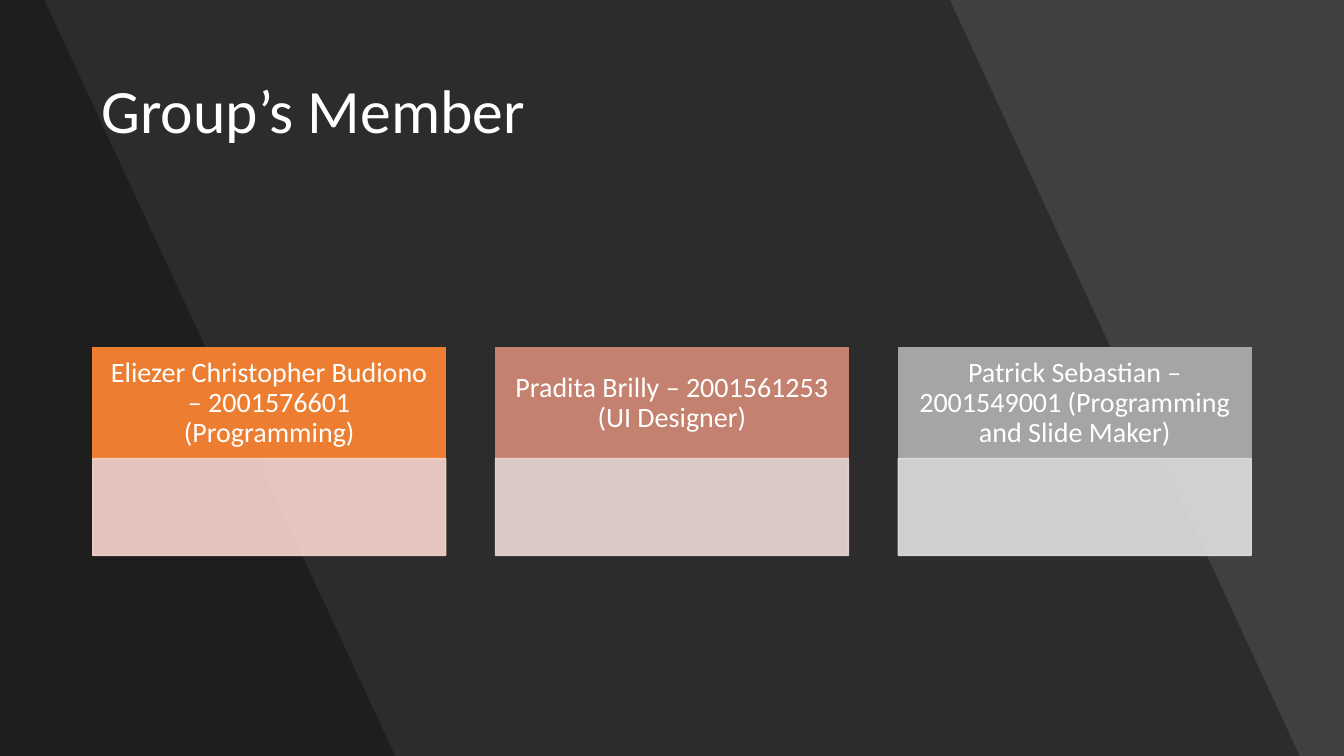
from lxml.etree import SubElement
from pptx import Presentation
from pptx.dml.color import RGBColor
from pptx.enum.shapes import MSO_SHAPE as Preset
from pptx.enum.text import MSO_ANCHOR as Anchor, PP_ALIGN as Align
from pptx.oxml.ns import qn
from pptx.util import Inches, Pt

WIDTH, HEIGHT = 13.33, 7.5
FONT = "Calibri"
COLORS = {
    "background": "404040",
    "shade": "000000",
    "text": "FFFFFF",
    "orange": "ED7D31",
    "orange_pale": "F8D7CE",
    "rose": "C48170",
    "rose_pale": "EDD9D7",
    "gray": "A5A5A5",
    "gray_pale": "E1E1E1",
}
MEMBERS = [
    ("Eliezer Christopher Budiono – 2001576601 (Programming)", "orange"),
    ("Pradita Brilly – 2001561253 (UI Designer)", "rose"),
    ("Patrick Sebastian – 2001549001 (Programming and Slide Maker)", "gray"),
]


def paint(fill, color, opacity=100):
    fill.solid()
    fill.fore_color.rgb = RGBColor.from_string(COLORS[color])
    if opacity < 100:
        for choice in fill._xPr.iter(qn("a:srgbClr")):
            SubElement(choice, qn("a:alpha"), val=str(opacity * 1000))


def write(shape, text, size, align, margins):
    frame = shape.text_frame
    frame.word_wrap = True
    frame.vertical_anchor = Anchor.MIDDLE
    frame.margin_left = frame.margin_right = Inches(margins[0])
    frame.margin_top = frame.margin_bottom = Inches(margins[1])
    para = frame.paragraphs[0]
    para.alignment = align
    para.line_spacing = 0.9
    span = para.add_run()
    span.text = text
    span.font.name = FONT
    span.font.size = Pt(size)
    span.font.color.rgb = RGBColor.from_string(COLORS["text"])


def add_panel(page, box, color, opacity=100):
    panel = page.shapes.add_shape(Preset.RECTANGLE, *map(Inches, box))
    panel.shadow.inherit = False
    paint(panel.fill, color, opacity)
    panel.line.width = Pt(1)
    paint(panel.line.fill, color, opacity)
    return panel


def add_shade(page, box, top_width):
    left, top, width, height = box
    corners = [(left + top_width, top), (left + width, top + height), (left, top + height)]
    builder = page.shapes.build_freeform(Inches(left), Inches(top))
    builder.add_line_segments([(Inches(x), Inches(y)) for x, y in corners])
    shade = builder.convert_to_shape()
    shade.shadow.inherit = False
    shade.line.fill.background()
    paint(shade.fill, "shade", 30)


def add_backdrop(page):
    paint(page.background.fill, "background")
    add_shade(page, (0, 0, 12.89, HEIGHT), 9.42)
    add_shade(page, (0, 0, 3.92, HEIGHT), 0.44)


def add_title(page, box, text):
    title = page.shapes.add_textbox(*map(Inches, box))
    write(title, text, 44, Align.LEFT, (0.1, 0.05))


def add_card(page, box, text, color):
    left, top, width, height = box
    header_height = 1.1
    header = add_panel(page, (left, top, width, header_height), color)
    write(header, text, 20, Align.CENTER, (0.16, 0.09))
    body = (left, top + header_height, width, height - header_height)
    add_panel(page, body, color + "_pale", 90)


def add_members(page, box):
    left, top, width, height = box
    card_width = 3.5
    step = (width - card_width) / (len(MEMBERS) - 1)
    for index, (text, color) in enumerate(MEMBERS):
        add_card(page, (left + index * step, top, card_width, height), text, color)


def main():
    deck = Presentation()
    deck.slide_width, deck.slide_height = Inches(WIDTH), Inches(HEIGHT)
    page = deck.slides.add_slide(deck.slide_layouts[6])
    add_backdrop(page)
    add_title(page, (0.91, 0.4, 11.51, 1.45), "Group’s Member")
    add_members(page, (0.92, 3.45, 11.49, 2.06))
    deck.save("out.pptx")


if __name__ == "__main__":
    main()
